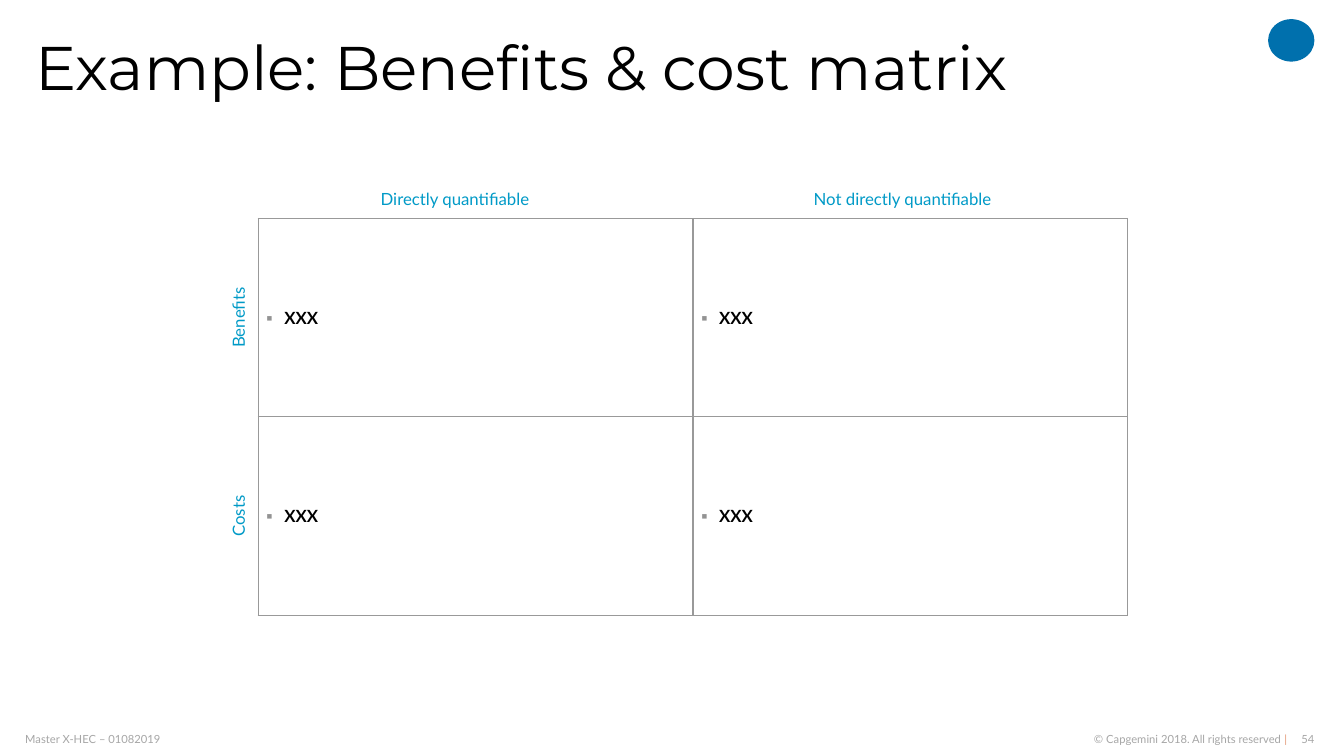
from lxml import etree
from pptx import Presentation
from pptx import util as u
from pptx.dml.color import RGBColor
from pptx.enum import shapes, text
from pptx.oxml import ns

BLACK = RGBColor(0x00, 0x00, 0x00)
LABEL_BLUE = RGBColor(0x00, 0x9A, 0xC7)
EMBLEM_BLUE = RGBColor(0x00, 0x70, 0xAD)
FOOTER_GREY = RGBColor(0xA6, 0xA6, 0xA6)
DIVIDER_ORANGE = RGBColor(0xE3, 0x97, 0x74)
BORDER_GREY = RGBColor(0x99, 0x99, 0x99)
BULLET_GREY = RGBColor(0x93, 0x93, 0x93)

LEFT, CENTER, RIGHT = text.PP_ALIGN.LEFT, text.PP_ALIGN.CENTER, text.PP_ALIGN.RIGHT


def add_solid_fill(parent, color):
    fill = etree.SubElement(parent, ns.qn("a:solidFill"))
    etree.SubElement(fill, ns.qn("a:srgbClr"), val=str(color))


def write(paragraph, content, *, size=12, color=BLACK, font="Lato", bold=False, align=LEFT):
    paragraph.alignment = align
    run = paragraph.add_run()
    run.text = content
    run.font.name = font
    run.font.size = u.Pt(size)
    run.font.bold = bold
    run.font.color.rgb = color


class MatrixSlide:
    def __init__(self, presentation):
        self.slide = presentation.slides.add_slide(presentation.slide_layouts[6])

    def text_box(self, content, left, top, width, height, *, inset=(7.2, 3.6),
                 vertical=False, wrap=True, line_spacing=None, **style):
        shape = self.slide.shapes.add_textbox(*map(u.Pt, (left, top, width, height)))
        frame = shape.text_frame
        frame.word_wrap = wrap
        frame.vertical_anchor = text.MSO_ANCHOR.MIDDLE
        frame.margin_left = frame.margin_right = u.Pt(inset[0])
        frame.margin_top = frame.margin_bottom = u.Pt(inset[1])
        if vertical:
            frame._txBody.bodyPr.set("vert", "vert270")
        paragraph = frame.paragraphs[0]
        if line_spacing:
            paragraph.line_spacing = line_spacing
        write(paragraph, content, **style)
        return paragraph

    def footer(self, content, left, width, align=LEFT):
        return self.text_box(content, left, 523.4, width, 9.4, inset=(0, 0),
                             size=8, color=FOOTER_GREY, align=align)

    def emblem(self, left, top, width, height):
        shape = self.slide.shapes.add_shape(
            shapes.MSO_SHAPE.OVAL, *map(u.Pt, (left, top, width, height)))
        shape.shadow.inherit = False
        shape.fill.solid()
        shape.fill.fore_color.rgb = EMBLEM_BLUE
        shape.line.fill.background()

    def matrix(self, rows, left, top, column_width, row_height):
        columns = len(rows[0])
        table = self.slide.shapes.add_table(
            len(rows), columns, u.Pt(left), u.Pt(top),
            u.Pt(column_width * columns), u.Pt(row_height * len(rows))).table
        table.first_row = table.horz_banding = False
        for row, entries in enumerate(rows):
            for column, entry in enumerate(entries):
                self.fill_cell(table.cell(row, column), entry)

    def fill_cell(self, cell, entry):
        cell.vertical_anchor = text.MSO_ANCHOR.MIDDLE
        cell.margin_left = cell.margin_right = u.Pt(5.76)
        cell.margin_top = cell.margin_bottom = u.Pt(3.6)
        # Borders come before the fill in the cell properties
        properties = cell._tc.get_or_add_tcPr()
        for side in ("lnL", "lnR", "lnT", "lnB"):
            border = etree.SubElement(properties, ns.qn(f"a:{side}"), w=str(u.Pt(1)))
            add_solid_fill(border, BORDER_GREY)
        cell.fill.background()
        # Square bullet with a hanging indent
        paragraph = cell.text_frame.paragraphs[0]
        format_xml = paragraph._p.get_or_add_pPr()
        format_xml.set("marL", str(u.Pt(13)))
        format_xml.set("indent", str(u.Pt(-13)))
        bullet_color = etree.SubElement(format_xml, ns.qn("a:buClr"))
        etree.SubElement(bullet_color, ns.qn("a:srgbClr"), val=str(BULLET_GREY))
        etree.SubElement(format_xml, ns.qn("a:buFont"), typeface="Lato")
        etree.SubElement(format_xml, ns.qn("a:buChar"), char="▪")
        paragraph.space_after = u.Pt(6)
        write(paragraph, entry, bold=True)


def main():
    presentation = Presentation()
    presentation.slide_width, presentation.slide_height = u.Pt(960), u.Pt(540)
    page = MatrixSlide(presentation)

    # Footer and corner emblem
    page.footer("54", 925.2, 13.7, RIGHT)
    rights = page.footer("© Capgemini 2018. All rights reserved ", 709.9, 209.5, RIGHT)
    write(rights, "|", size=8, color=DIVIDER_ORANGE, align=RIGHT)
    page.footer("Master X-HEC – 01082019", 18, 371.5)
    page.emblem(905.8, 13.7, 33.1, 30.3)

    # Title
    page.text_box("Example: Benefits & cost matrix", 18, 9.4, 924.5, 82,
                  size=44, font="Montserrat", line_spacing=0.9)

    # Matrix with row and column labels
    left, top, column_width, row_height = 184.4, 156, 310.6, 141.8
    page.matrix([["XXX"] * 2] * 2, left, top, column_width, row_height)
    for row, label in enumerate(("Benefits", "Costs")):
        page.text_box(label, 156.2, top + row * row_height, 28, row_height,
                      vertical=True, color=LABEL_BLUE, align=CENTER)
    label_width = 319.7
    for column, label in enumerate(("Directly quantifiable", "Not directly quantifiable")):
        page.text_box(label, 165.2 + column * label_width, 127.8, label_width, 28,
                      color=LABEL_BLUE, align=CENTER)

    presentation.save("out.pptx")


if __name__ == "__main__":
    main()
